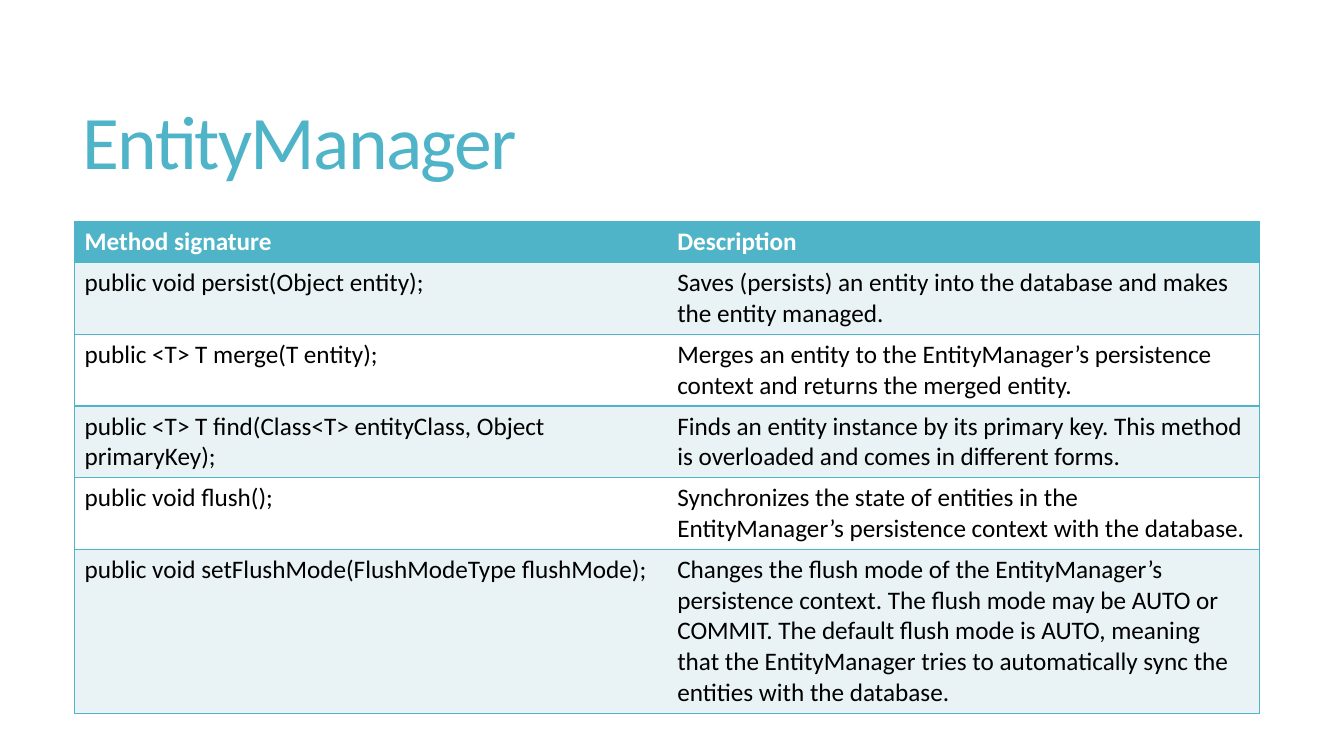
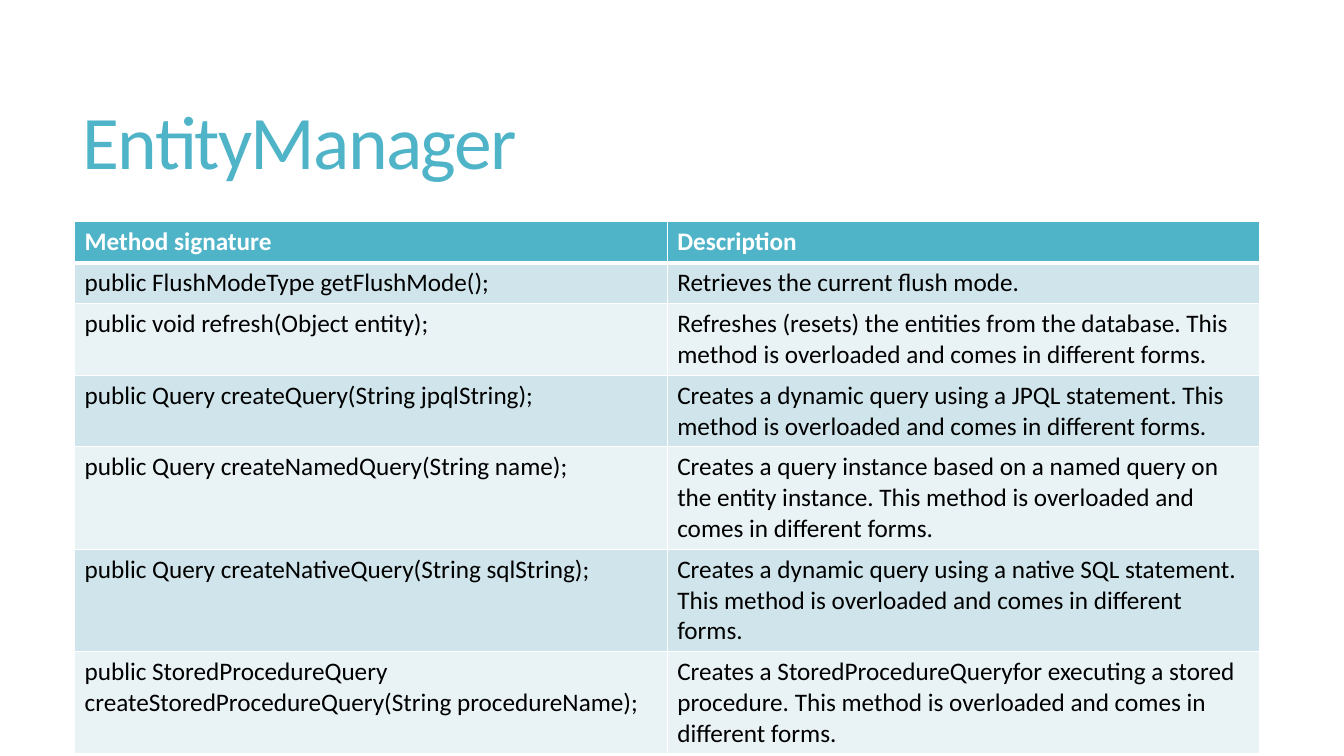
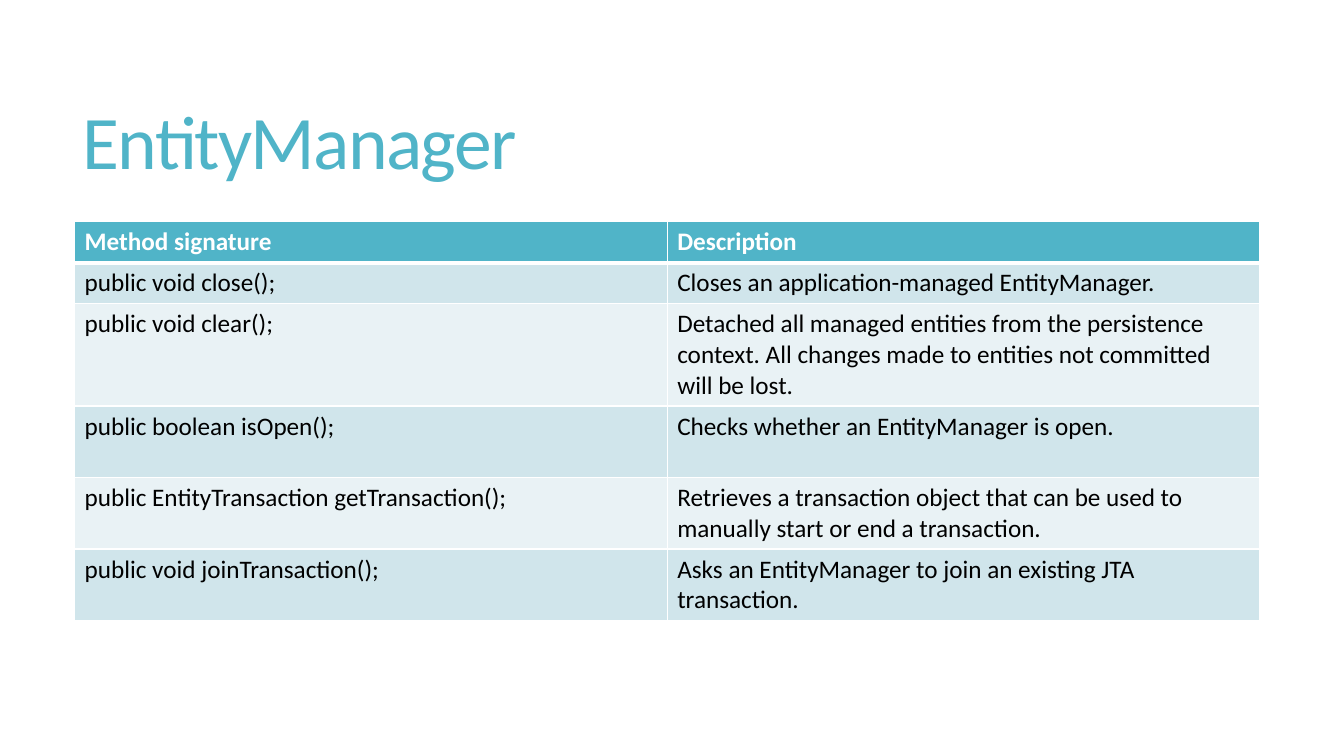
from pptx import Presentation
from pptx.dml.color import RGBColor
from pptx.enum.text import MSO_ANCHOR, MSO_AUTO_SIZE, PP_ALIGN
from pptx.oxml.ns import qn
from pptx.util import Cm, Pt
from lxml import etree

LEFT = PP_ALIGN.LEFT
MIDDLE = MSO_ANCHOR.MIDDLE
NO_AUTOFIT = MSO_AUTO_SIZE.NONE
TITLE_ONLY_LAYOUT = 5

FONT = "Calibri"
COLORS = {
    "accent": "50B4C8",
    "band": "D0E5EB",
    "pale": "E9F2F5",
    "white": "FFFFFF",
    "black": "000000",
}
TITLE = "EntityManager"
HEADER = ("Method signature", "Description", 1)
TITLE_BOX = (Cm(1.83), Cm(1.4), Cm(29.92), Cm(4.6))
TABLE_BOX = (Cm(1.88), Cm(5.59), Cm(29.87))
ROW_PADDING = 0.26
LINE_HEIGHT = 0.77

# Each look gives the two alternating row fills and the (color, points) of each rule.
LOOKS = {
    "outlined": {
        "rows": ("pale", "white"),
        "outer": ("accent", 1),
        "inner_vertical": None,
        "inner_horizontal": ("accent", 1),
        "below_header": ("accent", 1),
    },
    "banded": {
        "rows": ("band", "pale"),
        "outer": ("white", 1),
        "inner_vertical": ("white", 1),
        "inner_horizontal": ("white", 1),
        "below_header": ("white", 3),
    },
}

# Rows hold the signature, the description and the height in text lines.
SLIDES = [
    ("outlined", [
        ("public void persist(Object entity);",
         "Saves (persists) an entity into the database and makes the entity managed.", 2),
        ("public <T> T merge(T entity);",
         "Merges an entity to the EntityManager’s persistence context and returns "
         "the merged entity.", 2),
        ("public <T> T find(Class<T> entityClass, Object primaryKey);",
         "Finds an entity instance by its primary key. This method is overloaded "
         "and comes in different forms.", 2),
        ("public void flush();",
         "Synchronizes the state of entities in the EntityManager’s persistence "
         "context with the database.", 2),
        ("public void setFlushMode(FlushModeType flushMode);",
         "Changes the flush mode of the EntityManager’s persistence context. "
         "The flush mode may be AUTO or COMMIT. The default flush mode is AUTO, meaning\n"
         "that the EntityManager tries to automatically sync the entities with the "
         "database.", 5),
    ]),
    ("banded", [
        ("public FlushModeType getFlushMode();", "Retrieves the current flush mode.", 1),
        ("public void refresh(Object entity);",
         "Refreshes (resets) the entities from the database. This method is overloaded "
         "and comes in different forms.", 2),
        ("public Query createQuery(String jpqlString);",
         "Creates a dynamic query using a JPQL statement. This method is overloaded "
         "and comes in different forms.", 2),
        ("public Query createNamedQuery(String name);",
         "Creates a query instance based on a named query on the entity instance. "
         "This method is overloaded and comes in different forms.", 3),
        ("public Query createNativeQuery(String sqlString);",
         "Creates a dynamic query using a native SQL statement. This method is "
         "overloaded and comes in different forms.", 3),
        ("public StoredProcedureQuery createStoredProcedureQuery(String procedureName);",
         "Creates a StoredProcedureQueryfor executing a stored procedure. This method "
         "is overloaded and comes in different forms.", 3),
    ]),
    ("banded", [
        ("public void close();", "Closes an application-managed EntityManager.", 1),
        ("public void clear();",
         "Detached all managed entities from the persistence context. All changes made "
         "to entities not committed will be lost.", 3),
        ("public boolean isOpen();", "Checks whether an EntityManager is open.", 2),
        ("public EntityTransaction getTransaction();",
         "Retrieves a transaction object that can be used to manually start or end "
         "a transaction.", 2),
        ("public void joinTransaction();",
         "Asks an EntityManager to join an existing JTA transaction.", 2),
    ]),
]


def style_font(paragraph, size, color, bold=False):
    font = paragraph.font
    font.name = FONT
    font.size = Pt(size)
    font.bold = bold
    font.color.rgb = RGBColor.from_string(COLORS[color])


def add_title(slide, box):
    title = slide.shapes.title
    title.left, title.top, title.width, title.height = box
    frame = title.text_frame
    frame.text = TITLE
    frame.auto_size = NO_AUTOFIT
    frame.vertical_anchor = MIDDLE
    paragraph = frame.paragraphs[0]
    paragraph.alignment = LEFT
    paragraph.line_spacing = 0.85
    style_font(paragraph, 54, "accent")
    paragraph._p.get_or_add_pPr().get_or_add_defRPr().set("spc", "-120")


def add_border(cell, side, rule):
    """Draw one side (L, R, T or B) of a cell; a rule of None hides it."""
    line = etree.SubElement(cell._tc.get_or_add_tcPr(), qn(f"a:ln{side}"))
    if rule is None:
        etree.SubElement(line, qn("a:noFill"))
        return
    color, points = rule
    line.set("w", str(Pt(points)))
    fill = etree.SubElement(line, qn("a:solidFill"))
    etree.SubElement(fill, qn("a:srgbClr")).set("val", COLORS[color])


def horizontal_rule(look, edge, row_count):
    """Return the rule at a horizontal edge, counted from the top of the table."""
    if edge in (0, row_count):
        return look["outer"]
    return look["below_header"] if edge == 1 else look["inner_horizontal"]


def format_cell(cell, text, fill, text_color, bold, borders):
    for side, rule in borders.items():
        add_border(cell, side, rule)
    cell.fill.solid()
    cell.fill.fore_color.rgb = RGBColor.from_string(COLORS[fill])
    cell.text = text
    for paragraph in cell.text_frame.paragraphs:
        style_font(paragraph, 18, text_color, bold)


def add_method_table(slide, box, look, methods):
    left, top, width = box
    rows = [HEADER, *methods]
    heights = [Cm(ROW_PADDING + LINE_HEIGHT * lines) for _, _, lines in rows]
    table = slide.shapes.add_table(len(rows), 2, left, top, width, sum(heights)).table
    for row_index, (signature, description, _) in enumerate(rows):
        table.rows[row_index].height = heights[row_index]
        is_header = row_index == 0
        fill = "accent" if is_header else look["rows"][(row_index - 1) % 2]
        for column_index, text in enumerate((signature, description)):
            is_first = column_index == 0
            borders = {
                "L": look["outer"] if is_first else look["inner_vertical"],
                "R": look["inner_vertical"] if is_first else look["outer"],
                "T": horizontal_rule(look, row_index, len(rows)),
                "B": horizontal_rule(look, row_index + 1, len(rows)),
            }
            format_cell(table.cell(row_index, column_index), text, fill,
                        "white" if is_header else "black", is_header, borders)


def main():
    presentation = Presentation()
    presentation.slide_width = Cm(33.87)
    presentation.slide_height = Cm(19.05)
    layout = presentation.slide_layouts[TITLE_ONLY_LAYOUT]
    for look_name, methods in SLIDES:
        slide = presentation.slides.add_slide(layout)
        add_title(slide, TITLE_BOX)
        add_method_table(slide, TABLE_BOX, LOOKS[look_name], methods)
    presentation.save("out.pptx")


if __name__ == "__main__":
    main()
